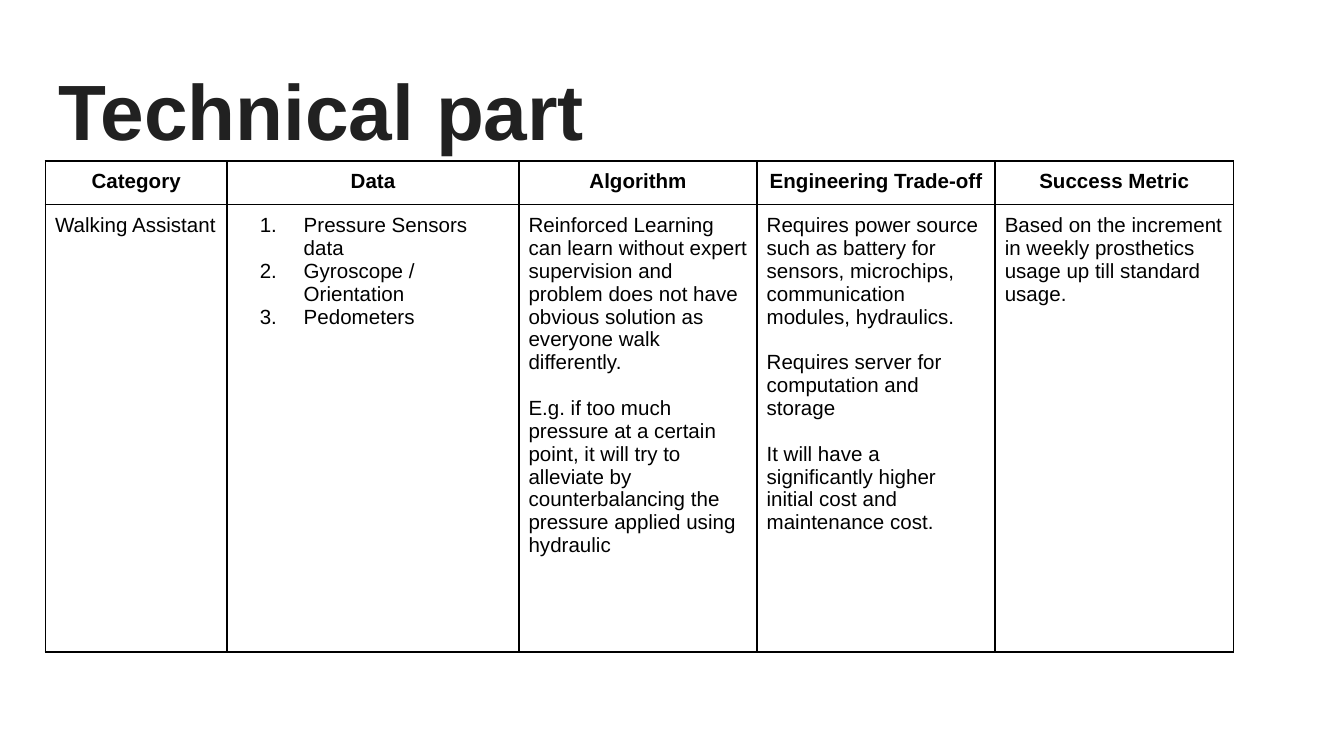
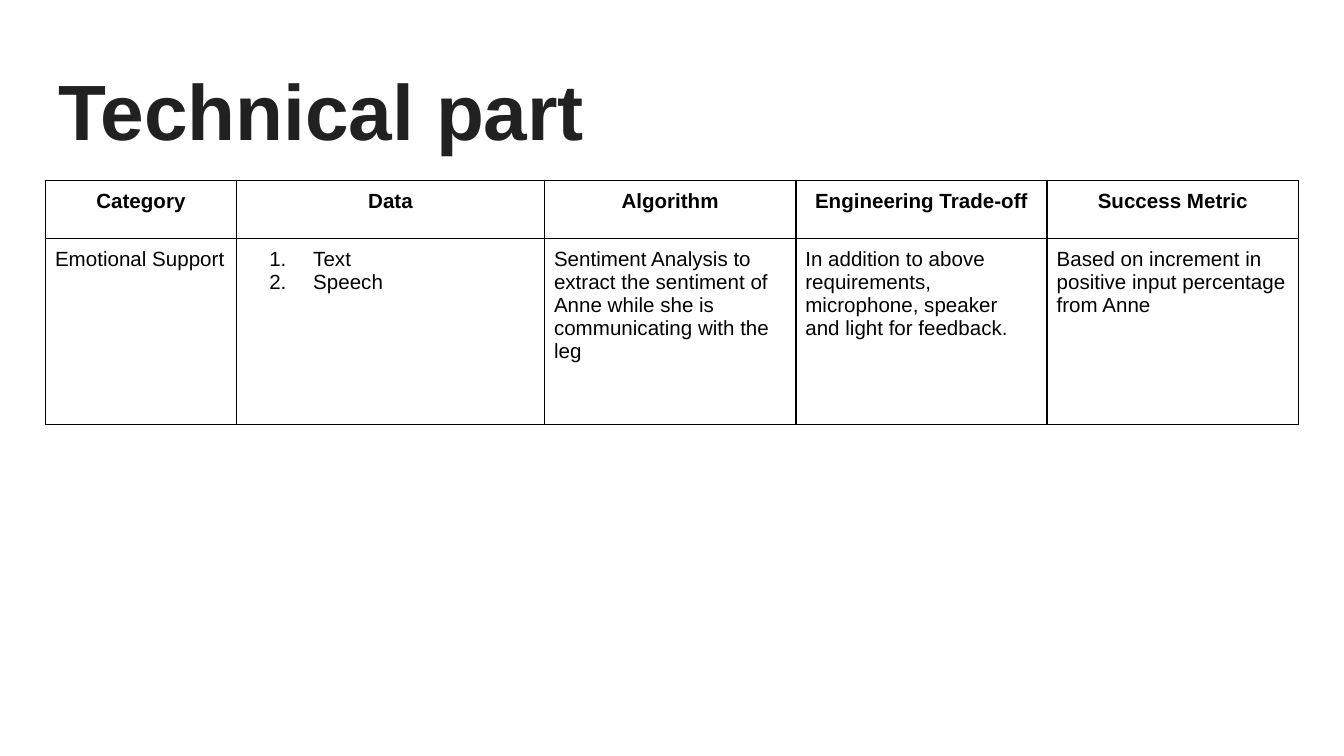
from lxml.etree import SubElement as Sub
from pptx import Presentation as Deck
from pptx.dml.color import RGBColor as Rgb
from pptx.enum.text import MSO_ANCHOR as Anchor, PP_ALIGN as Align
from pptx.oxml.ns import qn
from pptx.util import Cm, Pt

HUES = {"title": "212121", "text": "000000", "line": "000000", "back": "FFFFFF"}
FONT = "Arial"
SIZE = 11
GAP = 12.25
PAD = 0.18
LEFT = 0.86
HEADS = ["Category", "Data", "Algorithm", "Engineering Trade-off", "Success Metric"]

WALK = [
    ["Walking Assistant"],
    ["Pressure Sensors data", "Gyroscope / Orientation", "Pedometers"],
    ["Reinforced Learning can learn without expert supervision and problem does "
     "not have obvious solution as everyone walk differently.",
     "E.g. if too much pressure at a certain point, it will try to alleviate by "
     "counterbalancing the pressure applied using hydraulic"],
    ["Requires power source such as battery for sensors, microchips, "
     "communication modules, hydraulics.",
     "Requires server for computation and storage",
     "It will have a significantly higher initial cost and maintenance cost."],
    ["Based on the increment in weekly prosthetics usage up till standard usage."],
]
MOOD = [
    ["Emotional Support"],
    ["Text", "Speech"],
    ["Sentiment Analysis to extract the sentiment of Anne while she is "
     "communicating with the leg"],
    ["In addition to above requirements, microphone, speaker and light for feedback."],
    ["Based on increment in positive input percentage from Anne"],
]


def add_run(para, text, size, hue, bold=False):
    run = para.add_run()
    run.text = text
    font = run.font
    font.name, font.size, font.bold = FONT, Pt(size), bold
    font.color.rgb = Rgb.from_string(HUES[hue])


def add_title(slide, text, box):
    frame = slide.shapes.add_textbox(*map(Cm, box)).text_frame
    frame.word_wrap = True
    frame.vertical_anchor = Anchor.TOP
    frame.margin_left = frame.margin_right = Cm(0.25)
    frame.margin_top, frame.margin_bottom = Cm(0.36), Cm(0.1)
    add_run(frame.paragraphs[0], text, 42, "title", True)


def number(para):
    props = para._p.get_or_add_pPr()
    props.set("marL", str(Cm(1.27)))
    props.set("indent", str(-Cm(0.83)))
    Sub(props, qn("a:buFont"), typeface=FONT)
    Sub(props, qn("a:buAutoNum"), type="arabicPeriod")


def style_cell(cell):
    cell.margin_left = cell.margin_right = Cm(PAD)
    cell.margin_top = cell.margin_bottom = Cm(PAD)
    cell.vertical_anchor = Anchor.TOP
    props = cell._tc.get_or_add_tcPr()
    for side in "LRTB":
        line = Sub(props, qn(f"a:ln{side}"), w=str(Pt(1)))
        fill = Sub(line, qn("a:solidFill"))
        Sub(fill, qn("a:srgbClr"), val=HUES["line"])
    cell.fill.solid()
    cell.fill.fore_color.rgb = Rgb.from_string(HUES["back"])


def fill_cell(cell, lines, head=False, listed=False):
    style_cell(cell)
    frame = cell.text_frame
    for i, text in enumerate(lines):
        para = frame.add_paragraph() if i else frame.paragraphs[0]
        para.alignment = Align.CENTER if head else Align.LEFT
        if i and not listed:
            para.space_before = Pt(GAP)
        if listed:
            number(para)
        add_run(para, text, SIZE, "text", head)


def add_grid(slide, body, box, cols, rows):
    grid = slide.shapes.add_table(2, len(HEADS), *map(Cm, box)).table
    grid.first_row = grid.horz_banding = False
    for col, width in zip(grid.columns, cols):
        col.width = Cm(width)
    for row, height in zip(grid.rows, rows):
        row.height = Cm(height)
    for i, (name, lines) in enumerate(zip(HEADS, body)):
        fill_cell(grid.cell(0, i), [name], head=True)
        fill_cell(grid.cell(1, i), lines, listed=name == "Data")


def add_page(deck, body, top, cols, rows):
    slide = deck.slides.add_slide(deck.slide_layouts[6])
    add_title(slide, "Technical part", (LEFT, 0.81, 23.67, 2.24))
    add_grid(slide, body, (LEFT, top, sum(cols), sum(rows)), cols, rows)


def main():
    deck = Deck()
    deck.slide_width, deck.slide_height = Cm(25.4), Cm(14.29)
    add_page(deck, WALK, 3.04, [3.43, 5.52] + [4.5] * 3, [0.81, 8.46])
    add_page(deck, MOOD, 3.41, [3.61, 5.82] + [4.75] * 3, [1.1, 3.51])
    deck.save("out.pptx")


if __name__ == "__main__":
    main()
